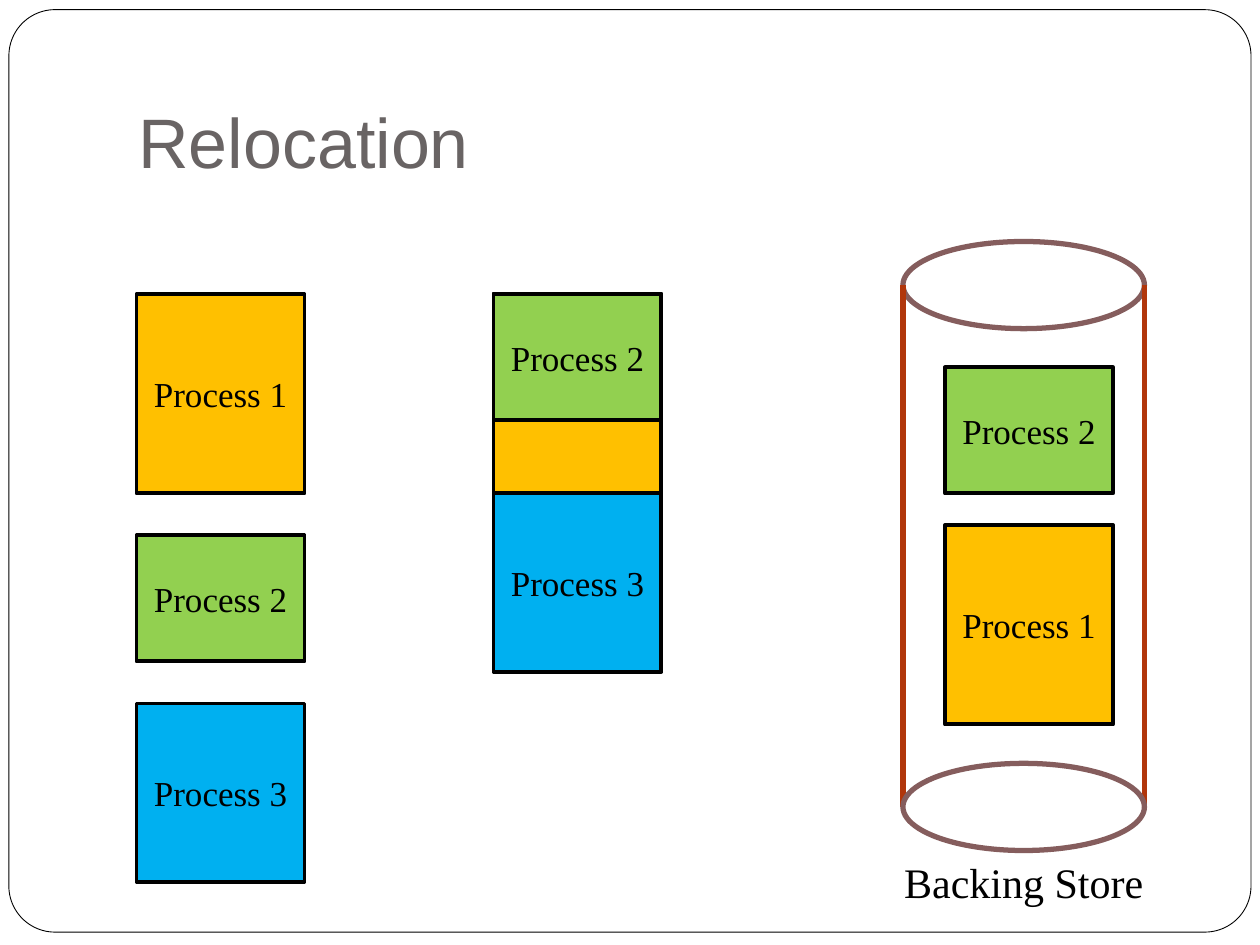
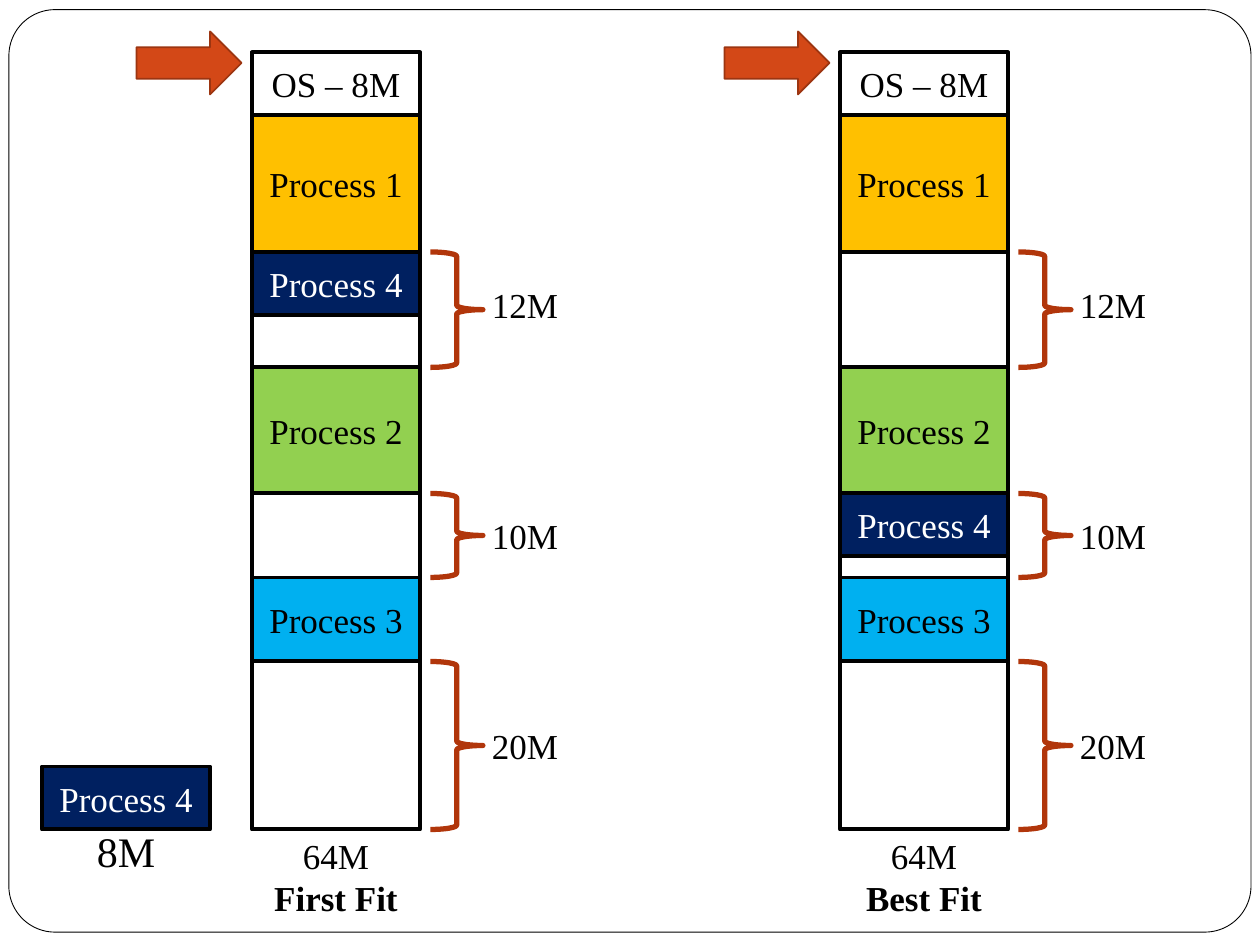
from dataclasses import dataclass

from lxml.etree import SubElement
from pptx import Presentation
from pptx.dml.color import RGBColor
from pptx.enum.shapes import MSO_CONNECTOR, MSO_SHAPE
from pptx.enum.text import MSO_ANCHOR, PP_ALIGN
from pptx.oxml.ns import qn
from pptx.util import Cm, Pt


@dataclass(frozen=True)
class Theme:
    """Colours, fonts and sizes shared by the slides."""

    white: str = "FFFFFF"
    black: str = "000000"
    title: str = "696464"
    amber: str = "FFC000"
    green: str = "92D050"
    blue: str = "00B0F0"
    navy: str = "002060"
    rust: str = "B1360B"
    mauve: str = "855D5D"
    arrow: str = "D34817"
    arrow_edge: str = "9C3511"
    title_font: str = "Arial"
    body_font: str = "Times New Roman"
    title_size: int = 40
    note_size: int = 24
    body_size: int = 20
    frame_line: float = 0.5
    arrow_line: float = 1
    block_line: float = 2.25
    accent_line: float = 3


@dataclass(frozen=True)
class Box:
    """A rectangle measured in grid steps of a twelfth of an inch."""

    left: float
    top: float
    width: float
    height: float

    def inside(self, dx, dy, width, height):
        """Return a box offset from this one's top left corner."""
        return Box(self.left + dx, self.top + dy, width, height)

    def lengths(self):
        """Return left, top, width and height as slide lengths."""
        return [grid(n) for n in (self.left, self.top, self.width, self.height)]


THEME = Theme()
GRID_CM = 2.54 / 12
BLOCK_WIDTH = 16
PROCESS_FILLS = {
    "Process 1": THEME.amber,
    "Process 2": THEME.green,
    "Process 3": THEME.blue,
    "Process 4": THEME.navy,
}
PROCESS_SIZES = {"Process 1": 19, "Process 2": 12, "Process 3": 17}
MEMORY_MAP = [
    ("OS – 8M", 6), ("Process 1", 13), ("12M", 11), ("Process 2", 12),
    ("10M", 8), ("Process 3", 8), ("20M", 16),
]
HOLES = ("12M", "10M", "20M")
NEW_PROCESS_HEIGHT = 6


def grid(steps):
    """Convert grid steps to a length."""
    return Cm(steps * GRID_CM)


def apply(target, **formats):
    """Set each format value on the target."""
    for name, value in formats.items():
        setattr(target, name, value)


def outline(line, color, points):
    """Give a line its colour and width."""
    line.color.rgb = RGBColor.from_string(color)
    line.width = Pt(points)


def write(frame, lines, color=THEME.black, size=THEME.body_size,
          font=THEME.body_font, align=PP_ALIGN.CENTER,
          anchor=MSO_ANCHOR.MIDDLE, bold_last=False):
    """Fill a text frame with one paragraph per line."""
    apply(frame, word_wrap=True, vertical_anchor=anchor, text="\n".join(lines))
    for paragraph in frame.paragraphs:
        paragraph.alignment = align
        apply(paragraph.font, name=font, size=Pt(size))
        paragraph.font.color.rgb = RGBColor.from_string(color)
    if bold_last:
        frame.paragraphs[-1].font.bold = True


def add_text(slide, box, *lines, **formats):
    """Place a text box and return its frame."""
    frame = slide.shapes.add_textbox(*box.lengths()).text_frame
    write(frame, lines, **formats)
    return frame


def add_figure(slide, preset, box, fill, edge, points):
    """Place a preset shape, unfilled when fill is None."""
    figure = slide.shapes.add_shape(preset, *box.lengths())
    figure.shadow.inherit = False
    if fill:
        figure.fill.solid()
        figure.fill.fore_color.rgb = RGBColor.from_string(fill)
    else:
        figure.fill.background()
    outline(figure.line, edge, points)
    return figure


def add_block(slide, box, name="", fill=None):
    """Place a block of memory with its process name."""
    fill = fill or PROCESS_FILLS.get(name, THEME.white)
    block = add_figure(slide, MSO_SHAPE.RECTANGLE, box, fill, THEME.black, THEME.block_line)
    if name:
        ink = THEME.white if fill == THEME.navy else THEME.black
        write(block.text_frame, [name], color=ink)


def add_process(slide, area, dx, dy, name):
    """Place a process at its relocation size within an area."""
    add_block(slide, area.inside(dx, dy, BLOCK_WIDTH, PROCESS_SIZES[name]), name)


def add_page(deck):
    """Add a blank slide with the rounded page frame."""
    slide = deck.slides.add_slide(deck.slide_layouts[6])
    page = add_figure(slide, MSO_SHAPE.ROUNDED_RECTANGLE, Box(0.85, 0.92, 118.3, 87.85),
                      THEME.white, THEME.black, THEME.frame_line)
    page.adjustments[0] = 0.05
    return slide


def add_title(slide, box, title):
    """Place the slide title on the bottom of its box."""
    frame = add_text(slide, box, title, color=THEME.title, size=THEME.title_size,
                     font=THEME.title_font, align=PP_ALIGN.LEFT, anchor=MSO_ANCHOR.BOTTOM)
    frame.margin_bottom = Cm(0.25)


def add_waiting_processes(slide, box):
    """Stack the separate processes with equal gaps."""
    gap = (box.height - sum(PROCESS_SIZES.values())) / (len(PROCESS_SIZES) - 1)
    dy = 0
    for name, height in PROCESS_SIZES.items():
        add_process(slide, box, 0, dy, name)
        dy += height + gap


def add_relocated_memory(slide, box):
    """Show Process 2 placed over the space of Process 1, above Process 3."""
    freed = PROCESS_SIZES["Process 1"]
    add_block(slide, box.inside(0, 0, BLOCK_WIDTH, freed), fill=THEME.amber)
    add_process(slide, box, 0, freed, "Process 3")
    add_process(slide, box, 0, 0, "Process 2")


def add_cylinder_end(slide, box):
    """Draw one end of the backing store."""
    add_figure(slide, MSO_SHAPE.OVAL, box, THEME.white, THEME.mauve, THEME.accent_line)


def add_backing_store(slide, box):
    """Draw the cylinder, the processes in it and its caption."""
    end_height = 8.3
    half = end_height / 2
    add_cylinder_end(slide, box.inside(0, 0, box.width, end_height))
    for x in (box.left, box.left + box.width):
        side = slide.shapes.add_connector(
            MSO_CONNECTOR.STRAIGHT, grid(x), grid(box.top + half),
            grid(x), grid(box.top + box.height - half))
        outline(side.line, THEME.rust, THEME.accent_line)
        SubElement(side._element.spPr, qn("a:effectLst"))
    add_cylinder_end(slide, box.inside(0, box.height - end_height, box.width, end_height))
    add_process(slide, box, 4, 12, "Process 2")
    add_process(slide, box, 4, 27, "Process 1")
    add_text(slide, box.inside(-2, box.height, box.width + 4, 6), "Backing Store",
             size=THEME.note_size, anchor=MSO_ANCHOR.TOP)


def add_hole(slide, box, size):
    """Mark a free stretch of memory with a brace and its size."""
    add_figure(slide, MSO_SHAPE.RIGHT_BRACE, box.inside(17, 0, 5, box.height),
               None, THEME.rust, THEME.accent_line)
    add_text(slide, box.inside(18, box.height // 2 - 2, BLOCK_WIDTH, 4), size)


def add_fit(slide, box, strategy, chosen_hole):
    """Draw a memory map with Process 4 placed in the chosen hole."""
    add_block(slide, box)
    dy = 0
    for name, height in MEMORY_MAP:
        part = box.inside(0, dy, box.width, height)
        if name in HOLES:
            add_hole(slide, part, name)
        else:
            add_block(slide, part, name)
        if name == chosen_hole:
            add_block(slide, part.inside(0, 0, box.width, NEW_PROCESS_HEIGHT), "Process 4")
        dy += height
    add_figure(slide, MSO_SHAPE.RIGHT_ARROW, box.inside(-11, -2, 10, 6),
               THEME.arrow, THEME.arrow_edge, THEME.arrow_line)
    add_text(slide, box.inside(-2, box.height + 1, box.width + 4, 7),
             "64M", strategy, bold_last=True)


def add_new_process(slide, box):
    """Show the process to be placed with its size below."""
    add_block(slide, box, "Process 4")
    add_text(slide, box.inside(0, box.height, box.width, 4), "8M", size=THEME.note_size)


def relocation_slide(deck):
    """Build the relocation slide."""
    slide = add_page(deck)
    add_title(slide, Box(12, 3.6, 102, 15), "Relocation")
    add_waiting_processes(slide, Box(13, 28, BLOCK_WIDTH, 56))
    add_relocated_memory(slide, Box(47, 28, BLOCK_WIDTH, 36))
    add_backing_store(slide, Box(86, 23, 23, 58))


def placement_slide(deck):
    """Build the slide that compares first fit with best fit."""
    slide = add_page(deck)
    memory_height = sum(height for _, height in MEMORY_MAP)
    add_new_process(slide, Box(4, 73, BLOCK_WIDTH, NEW_PROCESS_HEIGHT))
    fits = (("First Fit", "12M"), ("Best Fit", "10M"))
    for column, (strategy, hole) in enumerate(fits):
        add_fit(slide, Box(24 + 56 * column, 5, BLOCK_WIDTH, memory_height), strategy, hole)


def main():
    """Build and save the presentation."""
    deck = Presentation()
    apply(deck, slide_width=Cm(25.4), slide_height=Cm(19.05))
    relocation_slide(deck)
    placement_slide(deck)
    deck.save("out.pptx")


if __name__ == "__main__":
    main()
